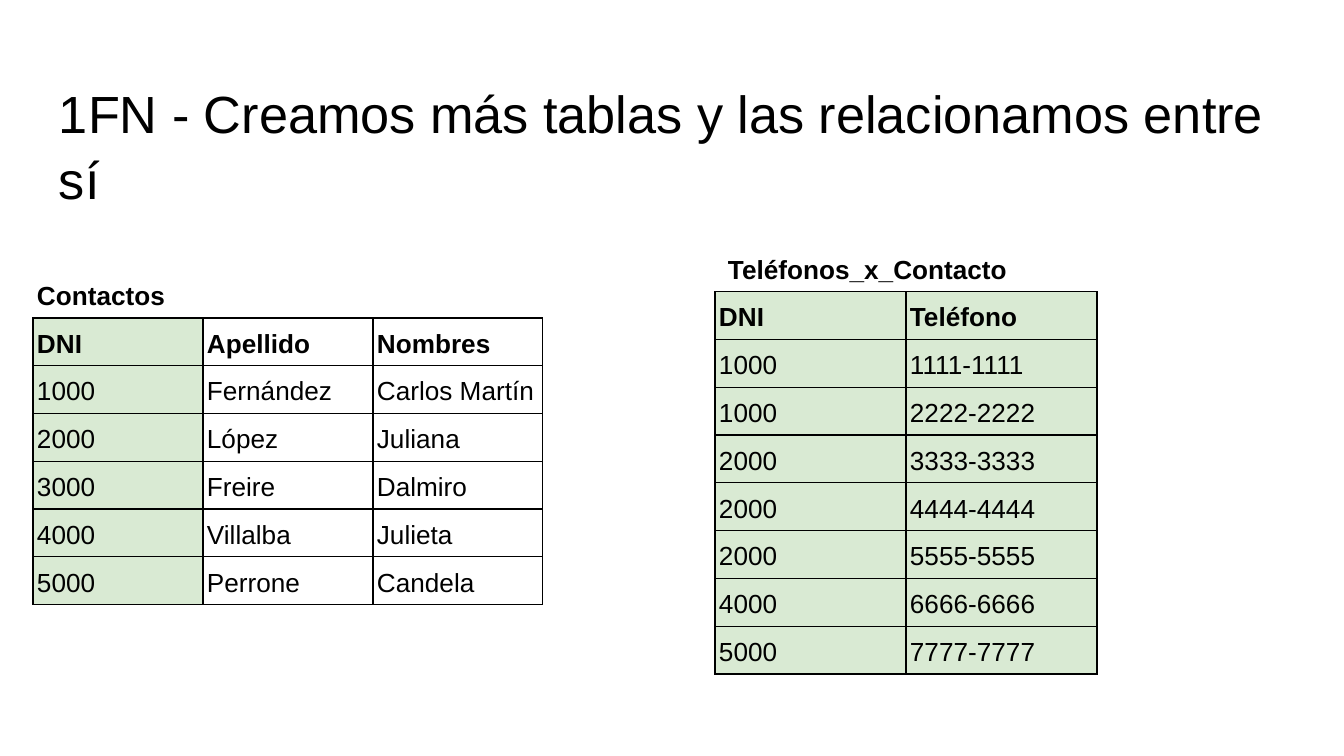
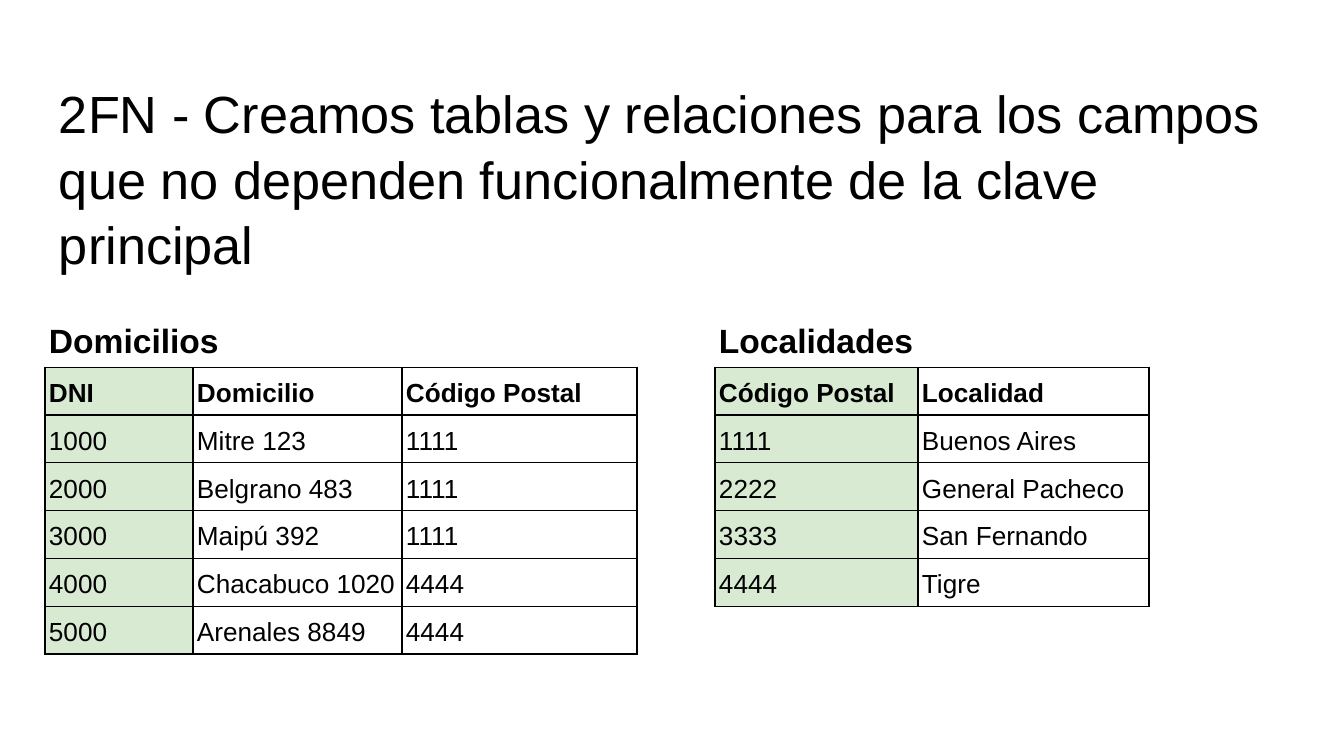
from dataclasses import dataclass
from lxml import etree
from pptx import Presentation
from pptx.dml.color import RGBColor
from pptx.enum.text import MSO_ANCHOR, MSO_AUTO_SIZE, PP_ALIGN
from pptx.oxml.ns import qn
from pptx.util import Emu, Pt

TOP, BOTTOM = MSO_ANCHOR.TOP, MSO_ANCHOR.BOTTOM
LEFT = PP_ALIGN.LEFT
NO_FIT = MSO_AUTO_SIZE.NONE
EMU_PER_PX = 914400 / 134.4
TITLE_ONLY = 5


@dataclass(frozen=True)
class Theme:
    font: str = "Arial"
    ink: str = "000000"
    key_fill: str = "D9EAD3"
    title_size: int = 28
    body_size: int = 14
    border: float = 0.75


theme = Theme()


def px(*lengths):
    return [Emu(round(length * EMU_PER_PX)) for length in lengths]


def write(frame, text, size=theme.body_size, bold=False, spacing=1.15):
    paragraph = frame.paragraphs[0]
    paragraph.alignment = LEFT
    paragraph.line_spacing = spacing
    paragraph.font.size = Pt(size)
    if text:
        run = paragraph.add_run()
        run.text = text
        run.font.name = theme.font
        run.font.size = Pt(size)
        run.font.bold = bold
        run.font.color.rgb = RGBColor.from_string(theme.ink)


slides = [
    ("1FN - Creamos más tablas y las relacionamos entre sí", [
        dict(name="Contactos", left=33, top=268, widths=[170, 170, 170], keys=1,
             name_height=50, name_size=14, name_inset=4, merged=False,
             rows=[
                 ("DNI", "Apellido", "Nombres"),
                 ("1000", "Fernández", "Carlos Martín"),
                 ("2000", "López", "Juliana"),
                 ("3000", "Freire", "Dalmiro"),
                 ("4000", "Villalba", "Julieta"),
                 ("5000", "Perrone", "Candela"),
             ]),
        dict(name="Teléfonos_x_Contacto", left=715, top=244, widths=[191, 191], keys=2,
             name_height=42, name_size=14, name_inset=13, merged=True,
             rows=[
                 ("DNI", "Teléfono"),
                 ("1000", "1111-1111"),
                 ("1000", "2222-2222"),
                 ("2000", "3333-3333"),
                 ("2000", "4444-4444"),
                 ("2000", "5555-5555"),
                 ("4000", "6666-6666"),
                 ("5000", "7777-7777"),
             ]),
    ]),
    ("2FN - Creamos tablas y relaciones para los campos que no dependen "
     "funcionalmente de la clave principal", [
        dict(name="Domicilios", left=45, top=310, widths=[148, 209, 235], keys=1,
             name_height=51, name_size=18, name_inset=4, merged=True,
             rows=[
                 ("DNI", "Domicilio", "Código Postal"),
                 ("1000", "Mitre 123", "1111"),
                 ("2000", "Belgrano 483", "1111"),
                 ("3000", "Maipú 392", "1111"),
                 ("4000", "Chacabuco 1020", "4444"),
                 ("5000", "Arenales 8849", "4444"),
             ]),
        dict(name="Localidades", left=715, top=310, widths=[203, 231], keys=1,
             name_height=51, name_size=18, name_inset=4, merged=True,
             rows=[
                 ("Código Postal", "Localidad"),
                 ("1111", "Buenos Aires"),
                 ("2222", "General Pacheco"),
                 ("3333", "San Fernando"),
                 ("4444", "Tigre"),
             ]),
    ]),
]

deck = Presentation()
deck.slide_width, deck.slide_height = px(1344, 756)

for heading, relations in slides:
    slide = deck.slides.add_slide(deck.slide_layouts[TITLE_ONLY])
    title = slide.shapes.title
    title.left, title.top, title.width, title.height = px(46, 66, 1252, 84)
    frame = title.text_frame
    frame.auto_size = NO_FIT
    frame.word_wrap = True
    frame.vertical_anchor = TOP
    frame.margin_left, frame.margin_top, frame.margin_right, frame.margin_bottom = px(13, 13, 13, 13)
    write(frame, heading, size=theme.title_size, spacing=1.04)

    for relation in relations:
        widths = relation["widths"]
        blanks = [""] * (len(widths) - 1)
        records = [(relation["name"], *blanks), *relation["rows"]]
        heights = [relation["name_height"]] + [42] * len(relation["rows"])
        grid = slide.shapes.add_table(
            len(records), len(widths),
            *px(relation["left"], relation["top"], sum(widths), sum(heights))).table
        grid.first_row = False
        grid.horz_banding = False
        for column, width in zip(grid.columns, px(*widths)):
            column.width = width
        for row, height in zip(grid.rows, px(*heights)):
            row.height = height
        if relation["merged"]:
            grid.cell(0, 0).merge(grid.cell(0, len(widths) - 1))

        for r, record in enumerate(records):
            for c, value in enumerate(record):
                cell = grid.cell(r, c)
                inset = relation["name_inset"] if r == 0 else 4
                cell.margin_left, cell.margin_top, cell.margin_right, cell.margin_bottom = px(inset, 7, inset, 7)
                cell.vertical_anchor = BOTTOM
                size = relation["name_size"] if r == 0 else theme.body_size
                write(cell.text_frame, value, size=size, bold=r < 2)
                properties = cell._tc.get_or_add_tcPr()
                for side in ["lnB"] if r == 0 else ["lnL", "lnR", "lnT", "lnB"]:
                    line = etree.SubElement(properties, qn(f"a:{side}"), w=str(Pt(theme.border)))
                    ink = etree.SubElement(line, qn("a:solidFill"))
                    etree.SubElement(ink, qn("a:srgbClr"), val=theme.ink)
                if r > 0 and c < relation["keys"]:
                    cell.fill.solid()
                    cell.fill.fore_color.rgb = RGBColor.from_string(theme.key_fill)
                else:
                    cell.fill.background()

deck.save("out.pptx")
